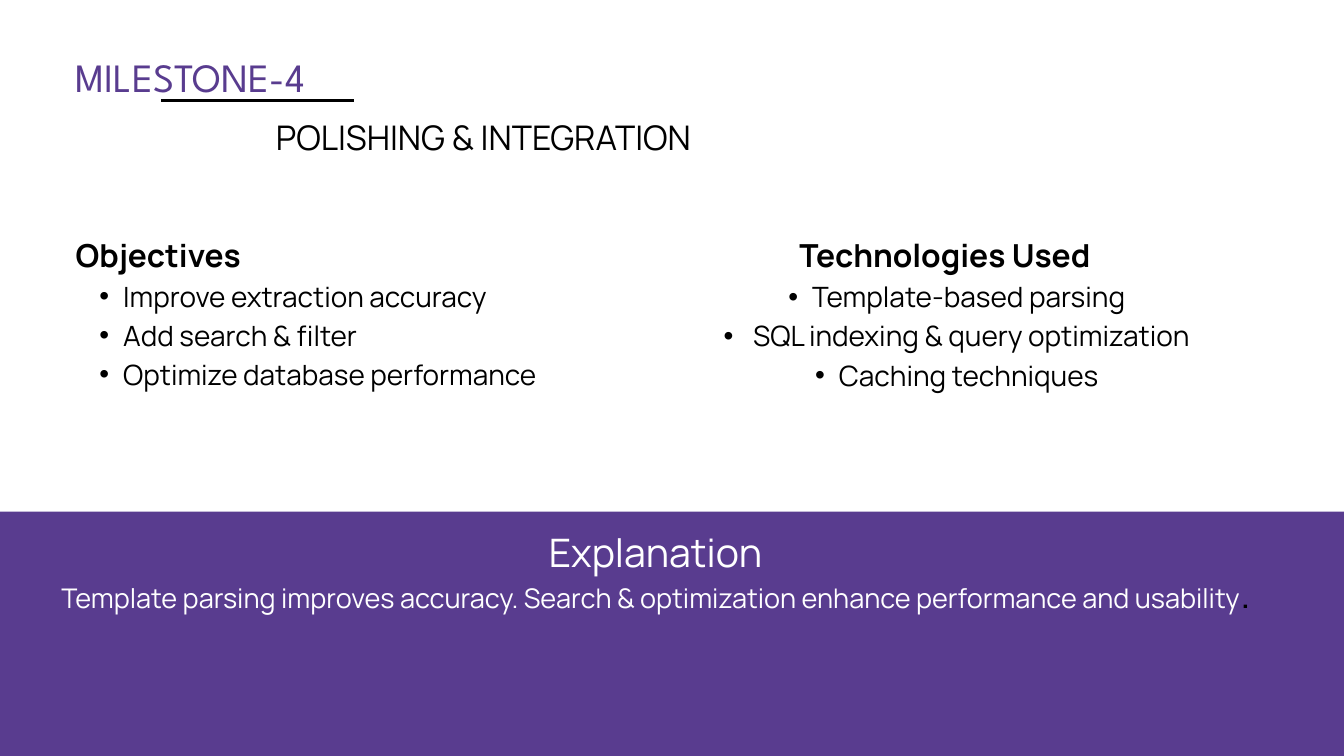
"""Build the milestone slide on polishing and integration."""
from lxml import etree
from pptx import Presentation, util as u
from pptx.dml.color import RGBColor
from pptx.enum import shapes, text
from pptx.oxml.ns import qn

PX = 9525
LEADING = 1.4
COLORS = {"purple": "593C8F", "ink": "000000", "paper": "FFFFFF"}

TITLE = "MILESTONE-4"
SUBTITLE = "POLISHING & INTEGRATION"
COLUMNS = [
    ("Objectives", ["Improve extraction accuracy", "Add search & filter",
                    "Optimize database performance"], 33.9, 29.9, "LEFT"),
    ("Technologies Used", ["Template-based parsing", " SQL indexing & query optimization",
                           "Caching techniques"], 34, 30, "CENTER"),
]
EXPLANATION = "Explanation"
SUMMARY = "Template parsing improves accuracy. Search & optimization enhance performance and usability"
COLUMN_LEFT, COLUMN_TOP, COLUMN_WIDTH, COLUMN_HEIGHT = 108, 328, 828, 290


def px(*lengths):
    return [u.Emu(length * PX) for length in lengths]


def rgb(name):
    return RGBColor.from_string(COLORS[name])


def add_frame(slide, *box):
    frame = slide.shapes.add_textbox(*px(*box)).text_frame
    frame.word_wrap = True
    frame.margin_left = frame.margin_top = frame.margin_right = frame.margin_bottom = 0
    return frame


def write(frame, words, size, font="Manrope", color="ink", bold=False,
          align="LEFT", bullet=False, same_line=False):
    paragraph = frame.paragraphs[-1]
    if paragraph.runs and not same_line:
        paragraph = frame.add_paragraph()
    if not same_line:
        paragraph.alignment = getattr(text.PP_ALIGN, align)
        paragraph.line_spacing = u.Pt(size * LEADING)
    if bullet:
        paragraph.level = 1
        props = paragraph._p.get_or_add_pPr()
        margin, indent = px(68, -34)
        props.set("marL", str(margin))
        props.set("indent", str(indent))
        etree.SubElement(props, qn("a:buFont")).set("typeface", "Arial")
        etree.SubElement(props, qn("a:buChar")).set("char", "•")
    run = paragraph.add_run()
    run.text = words
    run.font.size = u.Pt(size)
    run.font.name = font
    run.font.bold = bold
    run.font.color.rgb = rgb(color)


def main():
    deck = Presentation()
    deck.slide_width, deck.slide_height = px(1920, 1080)
    slide = deck.slides.add_slide(deck.slide_layouts[6])

    write(add_frame(slide, 108, 64, 520, 78), TITLE, 43, font="League Spartan", color="purple")

    underline = slide.shapes.add_connector(shapes.MSO_CONNECTOR.STRAIGHT, *px(230, 144, 506, 144))
    underline.line.color.rgb = rgb("ink")
    underline.line.width = u.Pt(3)
    etree.SubElement(underline._element.spPr, qn("a:effectLst"))

    band = slide.shapes.add_shape(shapes.MSO_SHAPE.RECTANGLE, *px(0, 731, 1920, 349))
    band.shadow.inherit = False
    band.fill.solid()
    band.fill.fore_color.rgb = rgb("purple")
    band.line.fill.background()

    write(add_frame(slide, 394, 157, 636, 68), SUBTITLE, 36.3)

    for index, (heading, items, heading_size, item_size, align) in enumerate(COLUMNS):
        column = add_frame(slide, COLUMN_LEFT + index * COLUMN_WIDTH, COLUMN_TOP,
                           COLUMN_WIDTH, COLUMN_HEIGHT)
        write(column, heading, heading_size, bold=True, align=align)
        for item in items:
            write(column, item, item_size, align=align, bullet=True)

    explanation = add_frame(slide, 0, 744, 1873, 282)
    write(explanation, EXPLANATION, 42, color="paper", align="CENTER")
    write(explanation, SUMMARY, 29, color="paper", align="CENTER")
    write(explanation, ".", 29, bold=True, same_line=True)

    deck.save("out.pptx")


if __name__ == "__main__":
    main()
